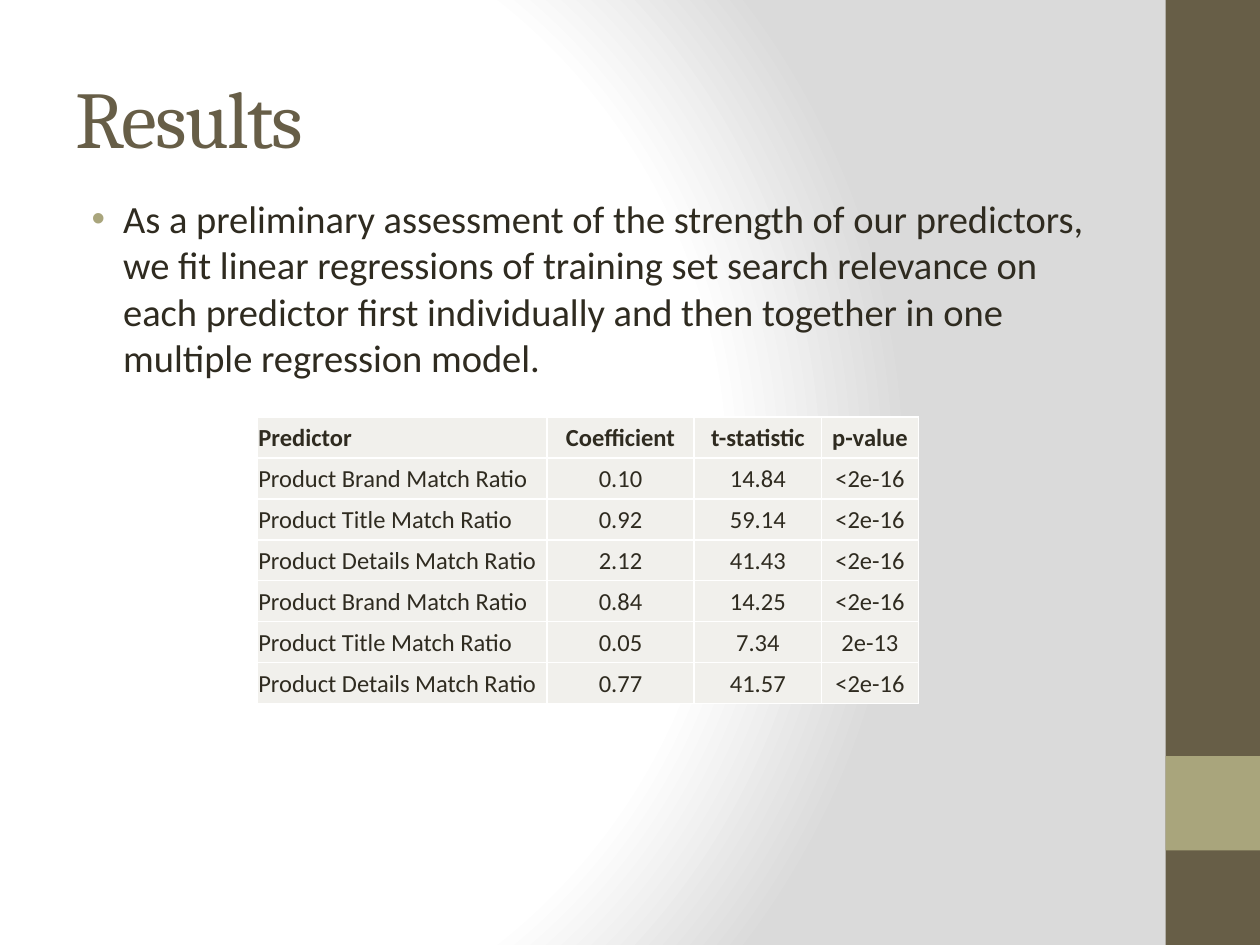
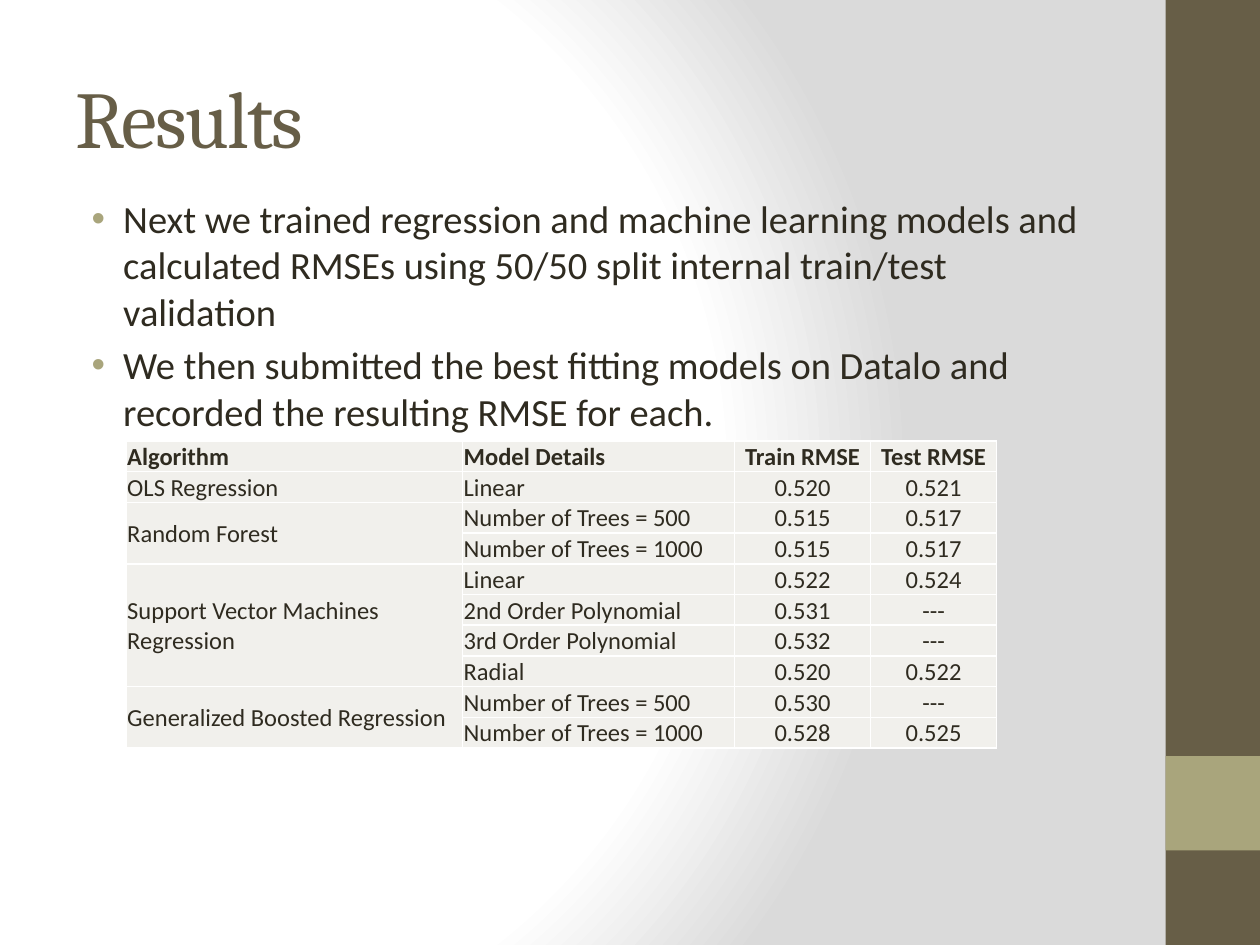
"""Build two results slides: predictor regressions and model errors."""
from dataclasses import dataclass

from lxml import etree
from pptx import Presentation
from pptx import util as u
from pptx.dml.color import RGBColor
from pptx.enum import shapes, text
from pptx.oxml import ns, parse_xml


@dataclass(frozen=True)
class Theme:
    brown: str = "675E47"
    olive: str = "A9A57C"
    ink: str = "2F2B20"
    cell: str = "F1F0EC"
    white: str = "FFFFFF"
    grey: str = "DADADA"
    heading: str = "Cambria"
    body: str = "Calibri"
    title_size: float = 46
    body_size: float = 22
    table_size: float = 14


theme = Theme()
deck = Presentation()
deck.slide_width, deck.slide_height = u.Inches(10), u.Inches(7.5)
COL, ROW = deck.slide_width / 40, deck.slide_height / 30


def place(left, top, width, height):
    """Turn grid columns and rows into lengths."""
    return int(left * COL), int(top * ROW), int(width * COL), int(height * ROW)


def style(paragraph, face, size, color, bold=False):
    """Set the font of a whole paragraph."""
    font = paragraph.font
    font.name, font.size, font.bold = face, u.Pt(size), bold
    font.color.rgb = RGBColor.from_string(color)


stops = "".join(
    f'<a:gs pos="{share * 1000}"><a:srgbClr val="{color}"/></a:gs>'
    for share, color in [(0, theme.white), (75, theme.white), (100, theme.grey)])
glow = parse_xml(
    f'<a:gradFill {ns.nsdecls("a")} rotWithShape="1"><a:gsLst>{stops}</a:gsLst>'
    '<a:path path="circle"><a:fillToRect l="20000" t="50000" r="100000" b="50000"/>'
    '</a:path></a:gradFill>')
deck.slide_master.background.fill.solid()
backdrop = deck.slide_master.element.find(".//" + ns.qn("p:bgPr"))
backdrop.replace(backdrop[0], glow)

bands = [(place(37, 0, 3, 30), theme.brown), (place(37, 24, 3, 3), theme.olive)]

pages = [
    {
        "bullets": [
            "As a preliminary assessment of the strength of our predictors, we fit "
            "linear regressions of training set search relevance on each predictor "
            "first individually and then together in one multiple regression model.",
        ],
        "body_rows": 7,
        "corner": (8.16, 13.24),
        "columns": [9.2, 4.68, 4.04, 3.08],
        "row_height": 1.3,
        "label_columns": 1,
        "cells": [
            ("Predictor", "Coefficient", "t-statistic", "p-value"),
            ("Product Brand Match Ratio", "0.10", "14.84", "<2e-16"),
            ("Product Title Match Ratio", "0.92", "59.14", "<2e-16"),
            ("Product Details Match Ratio", "2.12", "41.43", "<2e-16"),
            ("Product Brand Match Ratio", "0.84", "14.25", "<2e-16"),
            ("Product Title Match Ratio", "0.05", "7.34", "2e-13"),
            ("Product Details Match Ratio", "0.77", "41.57", "<2e-16"),
        ],
        "groups": [],
    },
    {
        "bullets": [
            "Next we trained regression and machine learning models and calculated "
            "RMSEs using 50/50 split internal train/test validation",
            "We then submitted the best fitting models on Datalo and recorded the "
            "resulting RMSE for each.",
        ],
        "body_rows": 8,
        "corner": (4, 14),
        "columns": [10.68, 8.64, 4.32, 4],
        "row_height": 0.88,
        "label_columns": 2,
        "cells": [
            ("Algorithm", "Model Details", "Train RMSE", "Test RMSE"),
            ("OLS Regression", "Linear", "0.520", "0.521"),
            ("Random Forest", "Number of Trees = 500", "0.515", "0.517"),
            ("", "Number of Trees = 1000", "0.515", "0.517"),
            ("Support Vector Machines Regression", "Linear", "0.522", "0.524"),
            ("", "2nd Order Polynomial", "0.531", "---"),
            ("", "3rd Order Polynomial", "0.532", "---"),
            ("", "Radial", "0.520", "0.522"),
            ("Generalized Boosted Regression", "Number of Trees = 500", "0.530", "---"),
            ("", "Number of Trees = 1000", "0.528", "0.525"),
        ],
        "groups": [(2, 3), (4, 7), (8, 9)],
    },
]

for page in pages:
    slide = deck.slides.add_slide(deck.slide_layouts[5])

    for box, color in bands:
        band = slide.shapes.add_shape(shapes.MSO_SHAPE.RECTANGLE, *box)
        band.shadow.inherit = False
        band.fill.solid()
        band.fill.fore_color.rgb = RGBColor.from_string(color)
        band.line.fill.background()

    title = slide.shapes.title
    title.left, title.top, title.width, title.height = place(2, 1.2, 33.32, 5)
    title.text_frame.text = "Results"
    title.text_frame.auto_size = text.MSO_AUTO_SIZE.NONE
    title.text_frame.vertical_anchor = text.MSO_ANCHOR.MIDDLE
    heading = title.text_frame.paragraphs[0]
    heading.alignment = text.PP_ALIGN.LEFT
    style(heading, theme.heading, theme.title_size, theme.brown)
    heading.runs[0].font._element.set("spc", "-100")

    findings = slide.shapes.add_textbox(*place(2, 6, 33.32, page["body_rows"])).text_frame
    findings.word_wrap = True
    for index, sentence in enumerate(page["bullets"]):
        bullet = findings.add_paragraph() if index else findings.paragraphs[0]
        bullet.text = sentence
        bullet.space_before = u.Pt(theme.body_size * 0.2)
        style(bullet, theme.body, theme.body_size, theme.ink)
        layout = bullet._p.get_or_add_pPr()
        layout.set("marL", str(u.Inches(0.38)))
        layout.set("indent", str(u.Inches(-0.25)))
        mark_color = parse_xml(
            f'<a:buClr {ns.nsdecls("a")}><a:srgbClr val="{theme.olive}"/></a:buClr>')
        mark_face = parse_xml(f'<a:buFont {ns.nsdecls("a")} typeface="Arial"/>')
        mark = parse_xml(f'<a:buChar {ns.nsdecls("a")} char="•"/>')
        for part in (mark_color, mark_face, mark):
            layout.find(ns.qn("a:defRPr")).addprevious(part)

    cells, columns = page["cells"], page["columns"]
    frame = place(*page["corner"], sum(columns), len(cells) * page["row_height"])
    table = slide.shapes.add_table(len(cells), len(columns), *frame).table
    table.first_row = table.horz_banding = False
    for column, width in zip(table.columns, columns):
        column.width = int(width * COL)
    for row_index, values in enumerate(cells):
        table.rows[row_index].height = int(page["row_height"] * ROW)
        for column_index, value in enumerate(values):
            cell = table.cell(row_index, column_index)
            cell.text = value
            cell.vertical_anchor = text.MSO_ANCHOR.MIDDLE
            cell.margin_left = cell.margin_right = cell.margin_top = u.Inches(0.01)
            cell.margin_bottom = 0
            entry = cell.text_frame.paragraphs[0]
            is_label = column_index < page["label_columns"]
            entry.alignment = text.PP_ALIGN.LEFT if is_label else text.PP_ALIGN.CENTER
            style(entry, theme.body, theme.table_size, theme.ink, bold=row_index == 0)
            borders = cell._tc.get_or_add_tcPr()
            for side in ("lnL", "lnR", "lnT", "lnB"):
                edge = etree.SubElement(borders, ns.qn(f"a:{side}"), w=str(u.Pt(1)))
                paint = etree.SubElement(edge, ns.qn("a:solidFill"))
                etree.SubElement(paint, ns.qn("a:srgbClr"), val=theme.white)
            cell.fill.solid()
            cell.fill.fore_color.rgb = RGBColor.from_string(theme.cell)
    for first, last in page["groups"]:
        table.cell(first, 0).merge(table.cell(last, 0))

deck.save("out.pptx")
